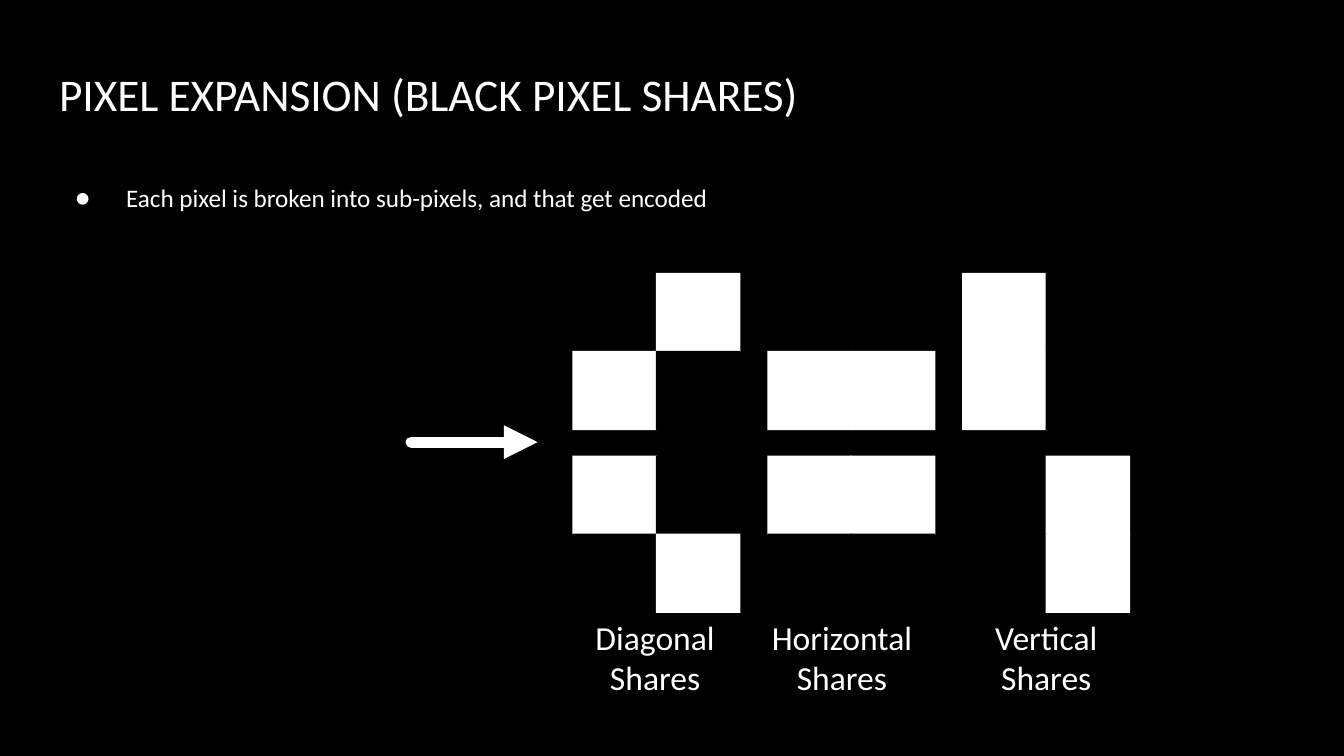
from dataclasses import dataclass

from lxml import etree
from pptx import Presentation
from pptx import util as u
from pptx.dml.color import RGBColor
from pptx.enum import shapes, text
from pptx.oxml import ns

BLACK = RGBColor(0, 0, 0)
WHITE = RGBColor(255, 255, 255)
FONT = "Calibri"
STEP_X, STEP_Y = 0.62, 0.58
LAP = 0.01
ROWS = (2.03, 3.39)


@dataclass
class Share:
    name: str
    left: float
    label: float
    grids: tuple[str, str]


SHARES = [
    Share("Diagonal", 4.26, 4.11, ("-WWB", "WBBW")),
    Share("Horizontal", 5.71, 5.5, ("BBWW", "WWBB")),
    Share("Vertical", 7.16, 7.02, ("WBWB", "BWBW")),
]


def add_run(para, words: str, size: float) -> None:
    run = para.add_run()
    run.text = words
    run.font.name = FONT
    run.font.size = u.Pt(size)
    run.font.color.rgb = WHITE


def add_pixel(home, left: float, top: float, wide: float, high: float,
              color: RGBColor) -> None:
    pixel = home.add_shape(shapes.MSO_SHAPE.RECTANGLE, u.Inches(left),
                           u.Inches(top), u.Inches(wide), u.Inches(high))
    pixel.shadow.inherit = False
    pixel.fill.solid()
    pixel.fill.fore_color.rgb = color
    pixel.line.fill.background()


def add_grid(slide, left: float, top: float, grid: str) -> None:
    group = slide.shapes.add_group_shape()
    for i, mark in enumerate(grid):
        if mark != "-":
            row, col = divmod(i, 2)
            add_pixel(group.shapes, left + col * STEP_X, top + row * STEP_Y,
                      STEP_X + LAP, STEP_Y + LAP,
                      WHITE if mark == "W" else BLACK)


def add_label(slide, share: Share) -> None:
    box = slide.shapes.add_textbox(u.Inches(share.label), u.Inches(4.54),
                                   u.Inches(1.53), u.Inches(0.71))
    frame = box.text_frame
    frame.word_wrap = True
    frame.auto_size = text.MSO_AUTO_SIZE.SHAPE_TO_FIT_TEXT
    for i, word in enumerate((share.name, "Shares")):
        para = frame.add_paragraph() if i else frame.paragraphs[0]
        para.alignment = text.PP_ALIGN.CENTER
        add_run(para, word, 18)


def set_frame(frame) -> None:
    frame.word_wrap = True
    frame.auto_size = text.MSO_AUTO_SIZE.NONE
    frame.vertical_anchor = text.MSO_ANCHOR.TOP
    frame.margin_left = frame.margin_right = u.Inches(0.1)
    frame.margin_top = frame.margin_bottom = u.Inches(0.1)


def add_title(slide) -> None:
    title = slide.shapes.title
    title.left, title.top = u.Inches(0.34), u.Inches(0.39)
    title.width, title.height = u.Inches(9.32), u.Inches(0.63)
    set_frame(title.text_frame)
    para = title.text_frame.paragraphs[0]
    para.alignment = text.PP_ALIGN.LEFT
    add_run(para, "PIXEL EXPANSION (BLACK PIXEL SHARES)", 24.3)


def add_point(slide) -> None:
    box = slide.shapes.add_textbox(u.Inches(0.34), u.Inches(1.26),
                                   u.Inches(9.32), u.Inches(0.43))
    set_frame(box.text_frame)
    para = box.text_frame.paragraphs[0]
    add_run(para, "Each pixel is broken into sub-pixels, and that get encoded",
            13.5)
    props = para._p.get_or_add_pPr()
    props.set("marL", str(u.Inches(0.5)))
    props.set("indent", str(u.Inches(-0.38)))
    color = etree.SubElement(props, ns.qn("a:buClr"))
    etree.SubElement(color, ns.qn("a:srgbClr"), val=str(WHITE))
    etree.SubElement(props, ns.qn("a:buFont"), typeface=FONT)
    etree.SubElement(props, ns.qn("a:buChar"), char="●")


def add_arrow(slide) -> None:
    arrow = slide.shapes.add_connector(
        shapes.MSO_CONNECTOR.STRAIGHT, u.Inches(3.06), u.Inches(3.29),
        u.Inches(4), u.Inches(3.29))
    arrow.line.color.rgb = WHITE
    arrow.line.width = u.Pt(6)
    line = arrow.line._get_or_add_ln()
    line.set("cap", "rnd")
    etree.SubElement(line, ns.qn("a:tailEnd"), type="triangle")
    etree.SubElement(arrow._element.spPr, ns.qn("a:effectLst"))


def main() -> None:
    deck = Presentation()
    deck.slide_width = u.Inches(10)
    deck.slide_height = u.Inches(10 * 9 / 16)
    slide = deck.slides.add_slide(deck.slide_layouts[5])
    slide.background.fill.solid()
    slide.background.fill.fore_color.rgb = BLACK
    add_title(slide)
    add_point(slide)
    add_arrow(slide)
    for share in SHARES:
        for top, grid in zip(ROWS, share.grids):
            add_grid(slide, share.left, top, grid)
    add_pixel(slide.shapes, 1.51, 2.7, 1.24, 1.17, BLACK)
    for share in SHARES:
        add_label(slide, share)
    deck.save("out.pptx")


if __name__ == "__main__":
    main()
